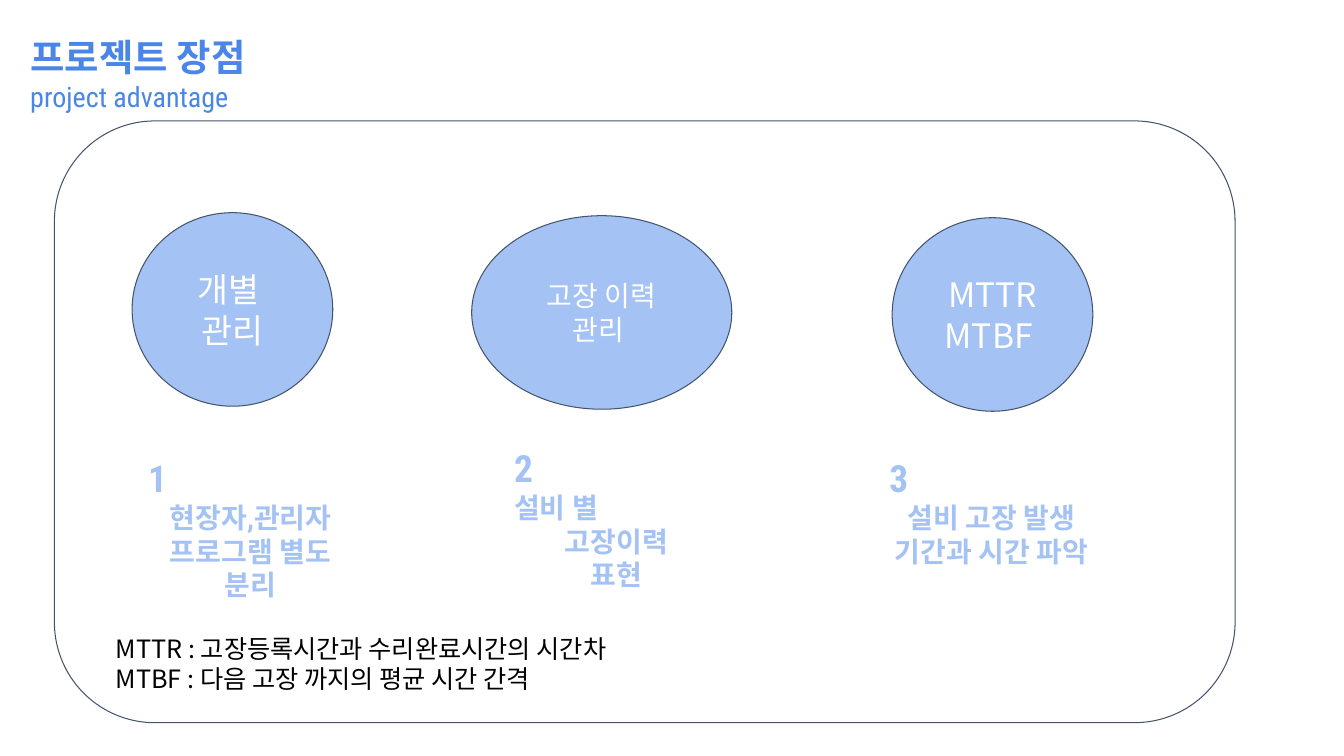
from lxml import etree
from pptx import Presentation
from pptx.dml.color import RGBColor
from pptx.enum.shapes import MSO_SHAPE
from pptx.enum.text import MSO_ANCHOR, MSO_AUTO_SIZE, PP_ALIGN
from pptx.oxml.ns import qn
from pptx.util import Inches, Pt

ROUND, OVAL = MSO_SHAPE.ROUNDED_RECTANGLE, MSO_SHAPE.OVAL
LEFT, MID = PP_ALIGN.LEFT, PP_ALIGN.CENTER
W, H = Inches(13.33), Inches(7.5)
COL, ROW = W / 100, H / 100  # grid of 100 columns by 100 rows
LATIN, KOREAN = "Roboto Condensed", "Noto Sans CJK KR"
BLUE, PALE, EDGE, WHITE, BLACK = "4A86E8", "A4C2F4", "44546A", "FFFFFF", "000000"
PAD = Inches(0.13)

# oval: left, top, width, lines; note: left, top, number, lines
ITEMS = [
    ((5.78, 12.13, 14.93, ["개별 ", "관리"], 24),
     (6, 42.53, "1", [("현장자,관리자 프로그램 별도 분리", MID)])),
    ((31.05, 12.53, 19.35, ["고장 이력 관리 "], 20),
     (33.23, 41.2, "2", [("설비 별", LEFT), ("고장이력", MID), ("표현", MID)])),
    ((62.33, 12.8, 14.93, ["MTTR\vMTBF "], 24),
     (61.14, 42.53, "3", [("설비 고장 발생 기간과 시간 파악", MID)])),
]


def color(code):
    return RGBColor.from_string(code)


def place(box, x, y, w, h):
    """Box at a grid offset from the corner of another box."""
    return box[0] + x, box[1] + y, w, h


def to_emu(box):
    x, y, w, h = box
    return round(x * COL), round(y * ROW), round(w * COL), round(h * ROW)


def write(frame, text, size=20, font=LATIN, ink=BLACK, bold=False, align=LEFT):
    """Add one paragraph, using the empty first one if there is one."""
    para = frame.paragraphs[0]
    if para.runs:
        para = frame.add_paragraph()
    para.text = text
    para.alignment = align
    for run in para.runs:
        face = run.font
        face.size, face.bold, face.name = Pt(size), bold, font
        face.color.rgb = color(ink)
        east = etree.SubElement(face._element, qn("a:ea"))
        east.set("typeface", KOREAN)


def pad(frame):
    frame.margin_left = frame.margin_right = PAD
    frame.margin_top = frame.margin_bottom = PAD


def add_text(slide, box, padded=True):
    frame = slide.shapes.add_textbox(*to_emu(box)).text_frame
    frame.word_wrap = True
    frame.auto_size = MSO_AUTO_SIZE.SHAPE_TO_FIT_TEXT
    if padded:
        pad(frame)
    return frame


def add_form(slide, kind, box, fill):
    form = slide.shapes.add_shape(kind, *to_emu(box))
    form.shadow.inherit = False
    form.fill.solid()
    form.fill.fore_color.rgb = color(fill)
    form.line.color.rgb = color(EDGE)
    form.line.width = Pt(0.75)
    return form


def add_head(slide, box):
    frame = add_text(slide, box)
    write(frame, "프로젝트 장점", size=26.7, ink=BLUE, bold=True)
    write(frame, "project advantage", ink=BLUE)


def add_oval(slide, box, lines, size):
    frame = add_form(slide, OVAL, box, PALE).text_frame
    frame.word_wrap = True
    frame.vertical_anchor = MSO_ANCHOR.MIDDLE
    pad(frame)
    for line in lines:
        write(frame, line, size=size, font=KOREAN, ink=WHITE, align=MID)


def add_note(slide, box, number, lines):
    frame = add_text(slide, box)
    write(frame, number, size=26.7, ink=PALE, bold=True)
    for line, align in lines:
        write(frame, line, ink=PALE, bold=True, align=align)


def add_terms(slide, box):
    frame = add_text(slide, box, padded=False)
    for line in ("MTTR : 고장등록시간과 수리완료시간의 시간차",
                 "MTBF : 다음 고장 까지의 평균 시간 간격"):
        write(frame, line, size=18, font=KOREAN)


def add_panel(slide, box):
    add_form(slide, ROUND, box, WHITE).adjustments[0] = 0.167
    for (x, y, w, lines, size), (left, top, number, words) in ITEMS:
        add_oval(slide, place(box, x, y, w, 25.6), lines, size)
        add_note(slide, place(box, left, top, 17.18, 23.07), number, words)
    add_terms(slide, place(box, 3.83, 67.07, 77.12, 9.47))


def main():
    deck = Presentation()
    deck.slide_width, deck.slide_height = W, H
    slide = deck.slides.add_slide(deck.slide_layouts[6])
    add_head(slide, (1.28, 2.8, 55.29, 14))
    add_panel(slide, (4.05, 16, 87.85, 79.6))
    deck.save("out.pptx")


if __name__ == "__main__":
    main()
